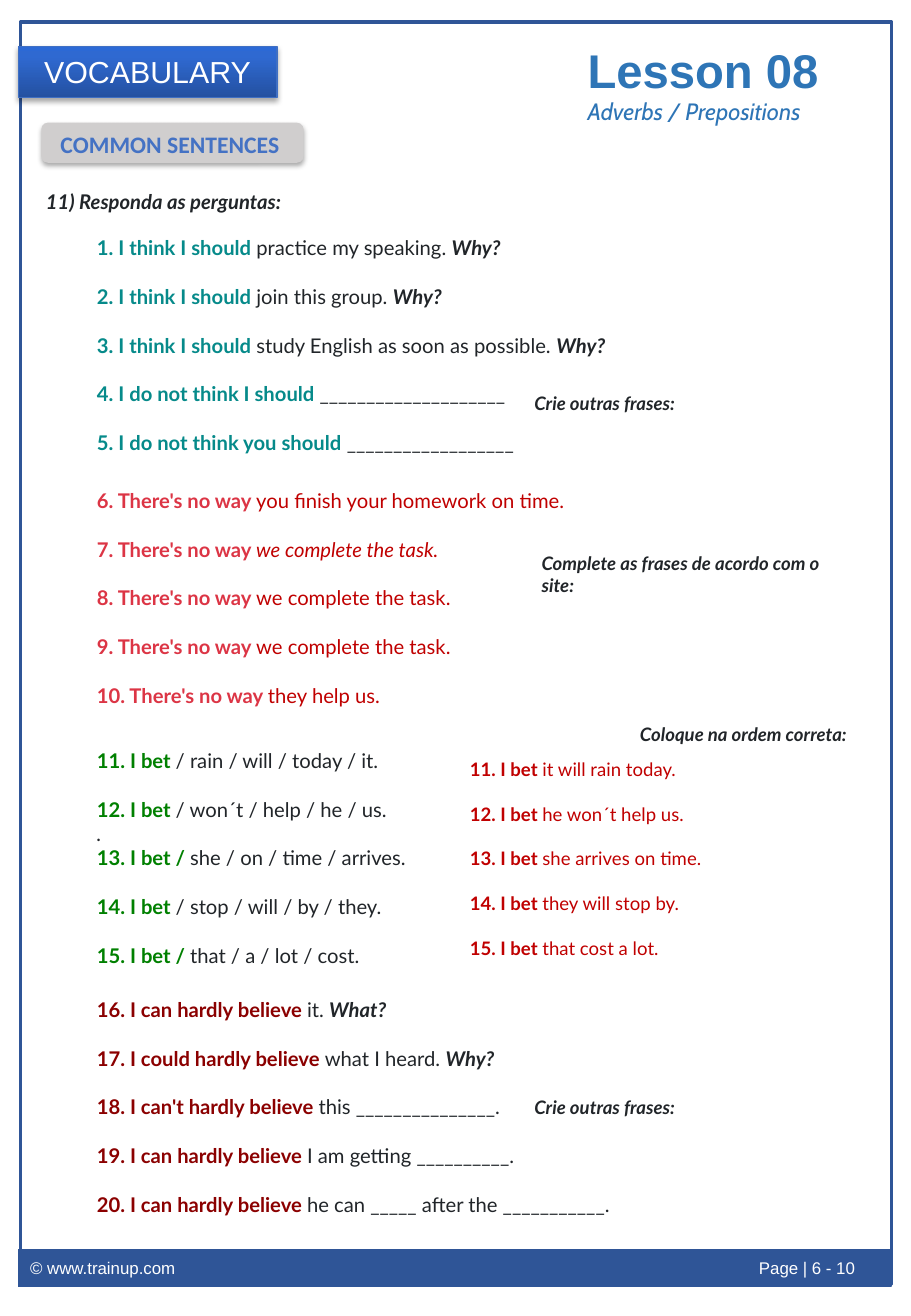
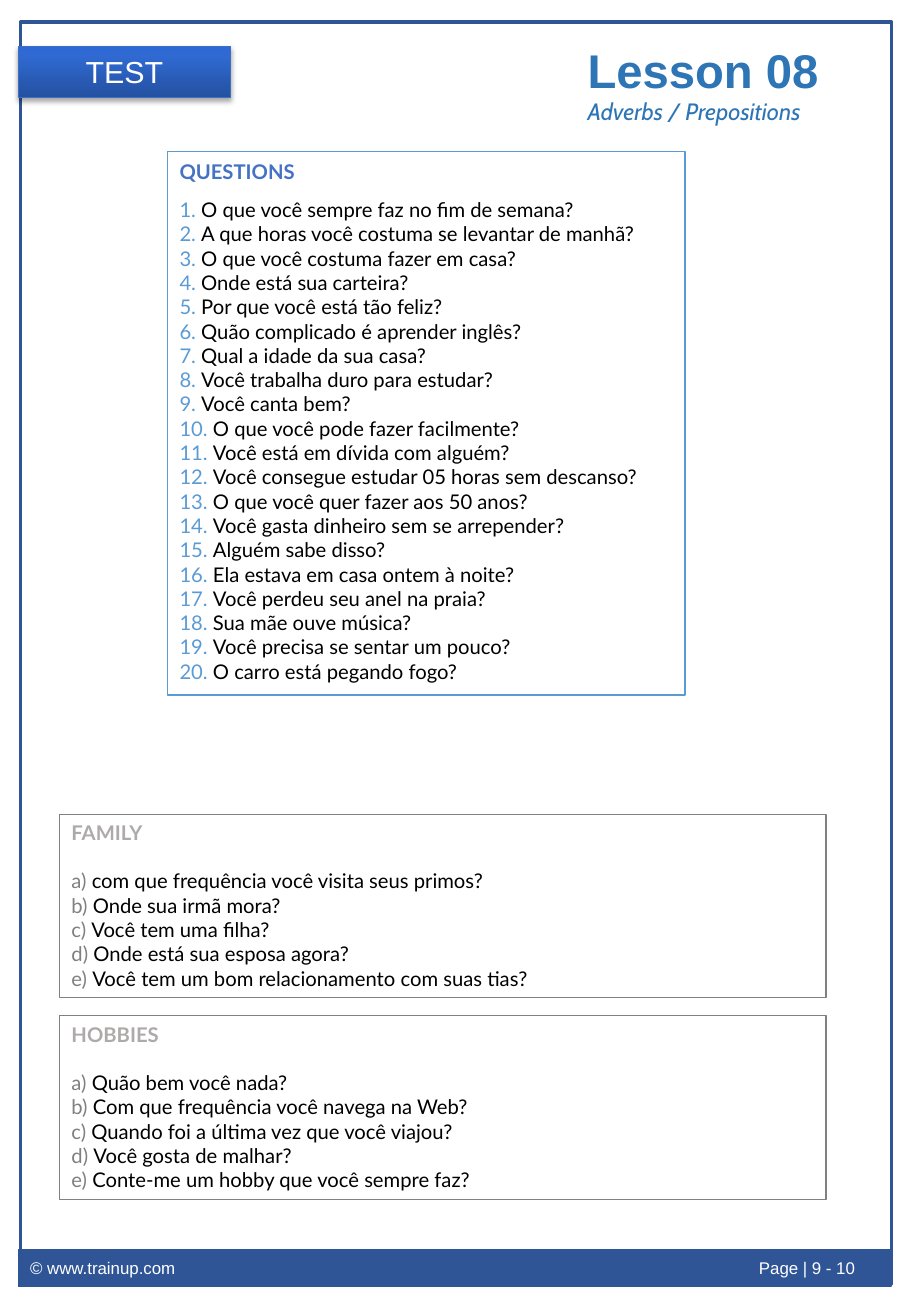
import copy

import pptx
import pptx.dml.color
import pptx.enum.shapes
import pptx.enum.text
import pptx.oxml
import pptx.oxml.ns
import pptx.util

SHAPES = pptx.enum.shapes.MSO_SHAPE
ALIGN = pptx.enum.text.PP_ALIGN
ANCHOR = pptx.enum.text.MSO_ANCHOR
Pt = pptx.util.Pt

EMU_PER_PX = 9144  # 100 px to the inch
NAVY, BLUE, TITLE_BLUE, LIGHT_BLUE = "2F5597", "4472C4", "2E75B6", "5B9BD5"
WHITE, BLACK, INK = "FFFFFF", "000000", "212529"
GREY, LIGHT_GREY, PILL_GREY = "808080", "AEAAAA", "D0CECE"
TEAL, ROSE, RED, GREEN, DARK_RED = "068A8A", "DC3545", "C00000", "008000", "8B0000"
LINE_HEIGHT = 1.2
ASK = {"color": INK, "bold": True, "italic": True}


def px(length):
    return pptx.util.Emu(length * EMU_PER_PX)


def rgb(value):
    return pptx.dml.color.RGBColor.from_string(value)


def numbered(labels, items, lead_color, body_color, tail_format=ASK):
    """Turn (bold lead, body, optional tail) items into paragraphs of runs."""
    lead_format = {"color": lead_color, "bold": True}
    formats = (lead_format, {"color": body_color}, tail_format)
    paragraphs = []
    for label, (lead, *rest) in zip(labels, items):
        texts = (f"{label}. {lead}", *rest)
        paragraphs.append([run for run in zip(texts, formats) if run[0]])
    return paragraphs


class Worksheet:
    def __init__(self):
        self.presentation = pptx.Presentation()
        self.presentation.slide_width = px(750)
        self.presentation.slide_height = px(1083)
        self.slide = None

    def new_slide(self, section, badge_width, page):
        """Add a slide with the shared frame, footer, badge and titles."""
        self.slide = self.presentation.slides.add_slide(self.presentation.slide_layouts[6])
        self.shape((17, 18, 717, 1039), line=NAVY, line_width=2)
        self.footer(page)
        self.badge(section, badge_width)
        self.text((474, 29, 213, 57), "Lesson 08", size=28, name="Arial",
                  color=TITLE_BLUE, bold=True)
        self.text((474, 75, 217, 34), "Adverbs / Prepositions", size=14, name="Cabin",
                  color=TITLE_BLUE, italic=True)

    def shape(self, box, kind=SHAPES.RECTANGLE, fill=None, line=None, line_width=0.75):
        shape = self.slide.shapes.add_shape(kind, *map(px, box))
        shape.shadow.inherit = False
        if fill:
            shape.fill.solid()
            shape.fill.fore_color.rgb = rgb(fill)
        else:
            shape.fill.background()
        if line:
            shape.line.color.rgb = rgb(line)
            shape.line.width = Pt(line_width)
        else:
            shape.line.fill.background()
        return shape

    def cast_shadow(self, shape):
        effects = shape._element.spPr.find(pptx.oxml.ns.qn("a:effectLst"))
        effects.append(pptx.oxml.parse_xml(
            f'<a:outerShdw {pptx.oxml.ns.nsdecls("a")} blurRad="{Pt(3.1)}" dist="{Pt(1.8)}" '
            'dir="5400000" algn="t" rotWithShape="0">'
            '<a:srgbClr val="000000"><a:alpha val="35000"/></a:srgbClr></a:outerShdw>'))

    def fill_paragraph(self, paragraph, runs, layout=None, **base):
        """Fill a paragraph with (text, format) runs over a base font format."""
        for name, value in (layout or {}).items():
            setattr(paragraph, name, value)
        for text, run_format in runs:
            run = paragraph.add_run()
            run.text = text
            for name, value in {**base, **run_format}.items():
                if name == "color":
                    run.font.color.rgb = rgb(value)
                else:
                    setattr(run.font, name, Pt(value) if name == "size" else value)

    def text(self, box, content, **font):
        frame = self.slide.shapes.add_textbox(*map(px, box)).text_frame
        frame.word_wrap = True
        self.fill_paragraph(frame.paragraphs[0], [(content, {})], **font)
        return frame

    def hint(self, box, content, size=11):
        self.text(box, content, size=size, name="Lato", **ASK)

    def sentences(self, box, paragraphs, size=12):
        """A list with one empty line's height between its paragraphs."""
        frame = self.slide.shapes.add_textbox(*map(px, box)).text_frame
        frame.word_wrap = True
        for index, runs in enumerate(paragraphs):
            paragraph = frame.add_paragraph() if index else frame.paragraphs[0]
            layout = {"space_before": Pt(size * LINE_HEIGHT)} if index else {}
            self.fill_paragraph(paragraph, runs, layout, size=size, name="Lato")

    def question_box(self, box, heading, labels, questions, line, heading_color,
                     label_color, heading_layout):
        frame = self.shape(box, line=line).text_frame
        frame.vertical_anchor = ANCHOR.TOP
        font = {"size": 12, "name": "Lato"}
        self.fill_paragraph(frame.paragraphs[0], [(heading, {"bold": True})],
                            {"alignment": ALIGN.LEFT, **heading_layout},
                            color=heading_color, **font)
        for label, question in zip(labels, questions):
            runs = [(f"{label} ", {"color": label_color}), (question, {"color": BLACK})]
            self.fill_paragraph(frame.add_paragraph(), runs, {"alignment": ALIGN.LEFT}, **font)

    def footer(self, page):
        frame = self.shape((15, 1028, 719, 31), fill=NAVY).text_frame
        frame.vertical_anchor = ANCHOR.MIDDLE
        paragraph = frame.paragraphs[0]
        paragraph._p.get_or_add_pPr().append(pptx.oxml.parse_xml(
            f'<a:tabLst {pptx.oxml.ns.nsdecls("a")}><a:tab pos="{px(600)}" algn="l"/></a:tabLst>'))
        self.fill_paragraph(paragraph, [(f"© www.trainup.com\tPage | {page} - 10", {})],
                            {"alignment": ALIGN.LEFT}, size=10, name="Arial", color=WHITE)

    def badge(self, section, width):
        shape = self.shape((15, 38, width, 42), SHAPES.ROUNDED_RECTANGLE, line="3F6FC3")
        shape.adjustments[0] = 0
        shape.fill.gradient()
        shape.fill.gradient_angle = 90
        stops = shape._element.spPr.find(".//" + pptx.oxml.ns.qn("a:gsLst"))
        stops.append(copy.deepcopy(stops[0]))
        colors = ((0, "2451A1"), (0.8, "2F69D1"), (1, "2C69D5"))
        for stop, (position, color) in zip(shape.fill.gradient_stops, colors):
            stop.position = position
            stop.color.rgb = rgb(color)
        self.cast_shadow(shape)
        shape.text_frame.vertical_anchor = ANCHOR.MIDDLE
        self.fill_paragraph(shape.text_frame.paragraphs[0], [(section, {})],
                            {"alignment": ALIGN.CENTER}, size=18, name="Arial", color=WHITE)

    def pill(self, content):
        shape = self.shape((34, 101, 216, 33), SHAPES.ROUNDED_RECTANGLE, fill=PILL_GREY)
        self.cast_shadow(shape)
        frame = self.text((40, 100, 213, 34), content, size=14, name="Calibri",
                          color=BLUE, bold=True)
        frame.paragraphs[0].line_spacing = 1.07


def vocabulary_slide(sheet):
    sheet.new_slide("VOCABULARY", 213, 6)
    sheet.pill("COMMON SENTENCES")
    sheet.hint((28, 151, 631, 30), "11) Responda as perguntas:", 12)

    should = "I think I should "
    sheet.sentences((70, 189, 581, 192), numbered(range(1, 6), [
        (should, "practice my speaking. ", "Why?"),
        (should, "join this group. ", "Why?"),
        (should, "study English as soon as possible. ", "Why?"),
        ("I do not think I should ", "____________________"),
        ("I do not think you should", " __________________"),
    ], TEAL, INK))

    no_way = "There's no way "
    sheet.sentences((70, 397, 447, 212), numbered(range(6, 11), [
        (no_way, "you finish your homework on time."),
        (no_way, "", "we complete the task."),
        (no_way, "we complete the task."),
        (no_way, "we complete the task."),
        (no_way, "they help us."),
    ], ROSE, RED, {"color": RED, "italic": True}))

    sheet.sentences((70, 611, 375, 212), numbered(range(11, 16), [
        ("I bet ", "/ rain / will / today / it."),
        ("I bet ", "/ won´t / help / he / us."),
        ("I bet / ", "she / on / time / arrives."),
        ("I bet ", "/ stop / will / by / they."),
        ("I bet / ", "that / a / lot / cost."),
    ], GREEN, INK))
    sheet.text((70, 671, 30, 30), ".", size=12, name="Lato", color=INK, italic=True)

    answers = ("it will rain today.", "he won´t help us.", "she arrives on time.",
               "they will stop by.", "that cost a lot.")
    sheet.sentences((377, 619, 392, 195), numbered(
        range(11, 16), [("I bet ", answer) for answer in answers], RED, RED), 11)

    sheet.sentences((70, 816, 447, 212), numbered(range(16, 21), [
        ("I can hardly believe ", "it. ", "What?"),
        ("I could hardly believe ", "what I heard. ", "Why?"),
        ("I can't hardly believe ", "this _______________."),
        ("I can hardly believe ", "I am getting __________."),
        ("I can hardly believe ", "he can _____ after the ___________."),
    ], DARK_RED, INK))

    for top in (318, 897):
        sheet.hint((430, top, 268, 29), "Crie outras frases:")
    sheet.hint((436, 449, 268, 47), "Complete as frases de acordo com o site:")
    sheet.hint((517, 590, 268, 29), "Coloque na ordem correta:")


def test_slide(sheet):
    sheet.new_slide("TEST", 175, 9)
    questions = (
        "O que você sempre faz no fim de semana?",
        "A que horas você costuma se levantar de manhã?",
        "O que você costuma fazer em casa?",
        "Onde está sua carteira?",
        "Por que você está tão feliz?",
        "Quão complicado é aprender inglês?",
        "Qual a idade da sua casa?",
        "Você trabalha duro para estudar?",
        "Você canta bem?",
        "O que você pode fazer facilmente?",
        "Você está em dívida com alguém?",
        "Você consegue estudar 05 horas sem descanso?",
        "O que você quer fazer aos 50 anos?",
        "Você gasta dinheiro sem se arrepender?",
        "Alguém sabe disso?",
        "Ela estava em casa ontem à noite?",
        "Você perdeu seu anel na praia?",
        "Sua mãe ouve música?",
        "Você precisa se sentar um pouco?",
        "O carro está pegando fogo?",
    )
    topics = {
        "FAMILY": (
            "com que frequência você visita seus primos?",
            "Onde sua irmã mora?",
            "Você tem uma filha?",
            "Onde está sua esposa agora?",
            "Você tem um bom relacionamento com suas tias?",
        ),
        "HOBBIES": (
            "Quão bem você nada?",
            "Com que frequência você navega na Web?",
            "Quando foi a última vez que você viajou?",
            "Você gosta de malhar?",
            "Conte-me um hobby que você sempre faz?",
        ),
    }
    for index, (topic, topic_questions) in enumerate(topics.items()):
        sheet.question_box((49, 670 + 166 * index, 631, 151), topic,
                           [f"{letter})" for letter in "abcde"], topic_questions,
                           GREY, LIGHT_GREY, GREY, {"space_after": Pt(12 * LINE_HEIGHT)})
    sheet.question_box((138, 125, 426, 447), "QUESTIONS",
                       [f"{number}." for number in range(1, 21)], questions,
                       LIGHT_BLUE, BLUE, LIGHT_BLUE,
                       {"line_spacing": 1.07, "space_after": Pt(8)})


def main():
    sheet = Worksheet()
    vocabulary_slide(sheet)
    test_slide(sheet)
    sheet.presentation.save("out.pptx")


if __name__ == "__main__":
    main()
